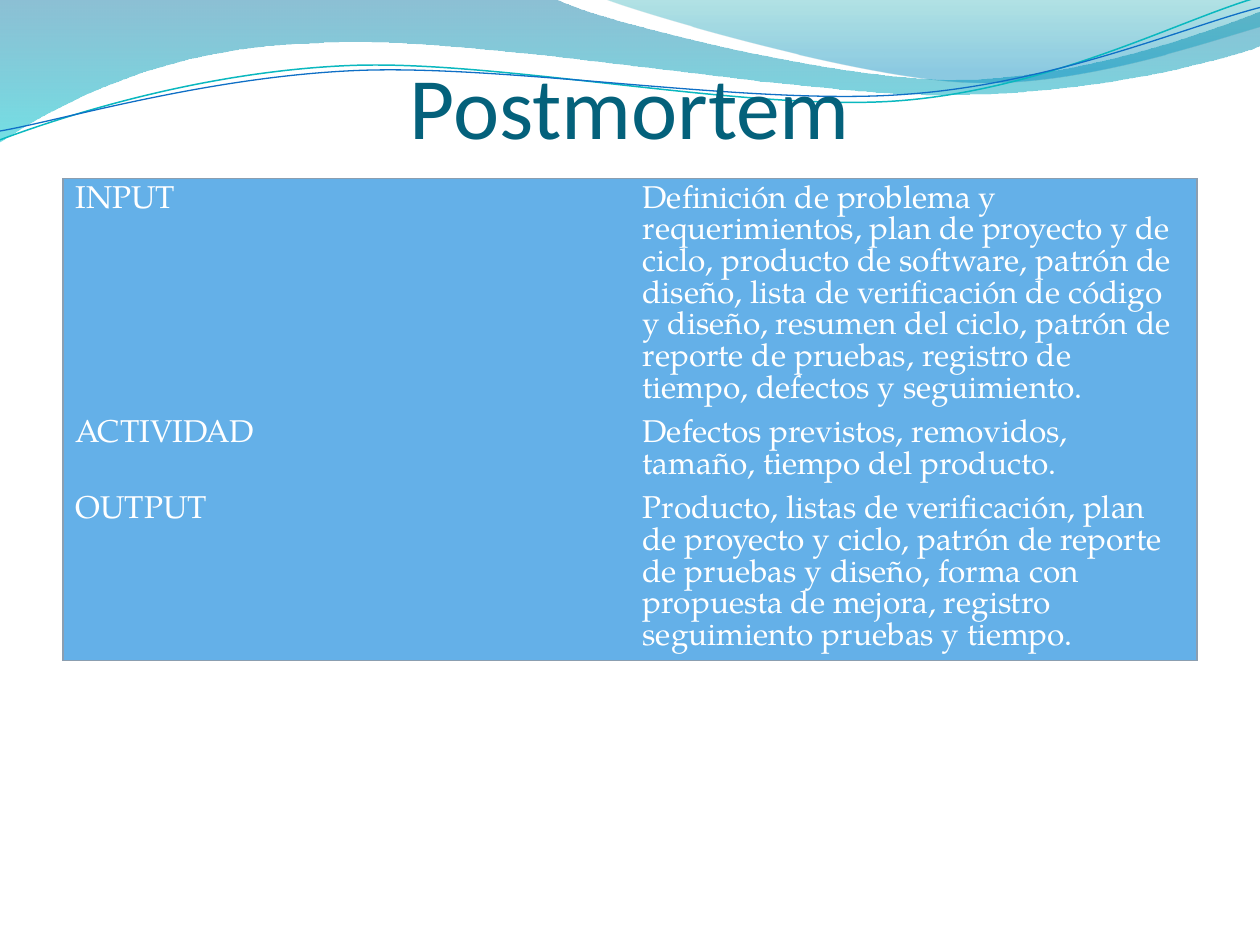
from dataclasses import dataclass
from math import cos, radians, sin

from lxml import etree
from pptx import Presentation
from pptx.dml.color import RGBColor
from pptx.enum.text import MSO_ANCHOR, PP_ALIGN
from pptx.oxml.ns import qn
from pptx.util import Inches, Pt

CENTER = PP_ALIGN.CENTER
TOP, MIDDLE, BOTTOM = MSO_ANCHOR.TOP, MSO_ANCHOR.MIDDLE, MSO_ANCHOR.BOTTOM
WIDTH, HEIGHT = Inches(10), Inches(7.5)
GRID_COLUMNS, GRID_ROWS = 20, 30
TITLE_ONLY = 5
STRAND_TILT = -2.7


@dataclass(frozen=True)
class Theme:
    title_font: str = "Calibri"
    body_font: str = "TeX Gyre Pagella"
    title_size: float = 50
    body_size: float = 18
    line_pitch: float = 18.1
    title_color: str = "04617B"
    body_color: str = "FFFFFF"
    cell_fill: str = "64B0E8"
    border: str = "8B9EB0"
    border_width: float = 0.75
    broad_wave: tuple = ((0, "0074A1", 45), (1, "00C6CF", 55))
    corner_wave: tuple = ((0, "00A1A9", 30), (0.8, "008BBF", 45))
    teal: str = "0AB8BF"
    blue: str = "0F6FC6"


THEME = Theme()

BROAD_WAVE = [
    (0, 0), (4.4, -0.01),
    (4.76, 0.17, 6.64, 0.63, 7.58, 0.63), (8.53, 0.63, 9.58, 0.26, 10, 0.09),
    (10.01, 0.36),
    (9.83, 0.44, 8.7, 0.76, 7.46, 0.75), (6.22, 0.75, 3.82, 0.28, 2.57, 0.34),
    (1.29, 0.36, 0.46, 0.83, -0.01, 1.13), (0, 0),
]
CORNER_WAVE = [
    (4.79, -0.01),
    (5.09, 0.11, 6.82, 0.62, 7.69, 0.65), (8.56, 0.69, 9.61, 0.32, 10, 0.21),
    (10, 0), (4.79, -0.01),
]
TEAL_STRAND = [
    (0, 1.11),
    (0.48, 0.93, 1.58, 0.57, 2.77, 0.52), (3.95, 0.47, 5.93, 0.89, 7.13, 0.8),
    (8.33, 0.71, 9.38, 0.15, 9.98, -0.02),
]
BLUE_STRAND = [
    (0, 1.04),
    (0.47, 0.96, 1.64, 0.61, 2.83, 0.56), (4.03, 0.51, 5.97, 0.84, 7.17, 0.75),
    (8.36, 0.67, 9.41, 0.21, 10, 0.06),
]

PHASES = [
    ("INPUT", "Definición de problema y requerimientos, plan de proyecto y de ciclo, "
     "producto de software, patrón de diseño, lista de verificación de código y diseño, "
     "resumen del ciclo, patrón de reporte de pruebas, registro de tiempo, defectos y "
     "seguimiento.", 7),
    ("ACTIVIDAD", "Defectos previstos, removidos, tamaño, tiempo del producto.", 2),
    ("OUTPUT", "Producto, listas de verificación, plan de proyecto y ciclo, patrón de "
     "reporte de pruebas y diseño, forma con propuesta de mejora, registro seguimiento "
     "pruebas y tiempo.", 5),
]


def column(count):
    return int(WIDTH * count / GRID_COLUMNS)


def row(count):
    return int(HEIGHT * count / GRID_ROWS)


def color(value):
    return RGBColor.from_string(value)


def pairs(segment):
    return list(zip(segment[::2], segment[1::2]))


def turn(segment, center, degrees):
    angle = radians(degrees)
    turned = []
    for x, y in pairs(segment):
        across, down = x - center[0], y - center[1]
        turned += [center[0] + across * cos(angle) - down * sin(angle),
                   center[1] + across * sin(angle) + down * cos(angle)]
    return turned


def add_outline(shapes, outline, closed):
    points = [(Inches(x), Inches(y)) for segment in outline for x, y in pairs(segment)]
    builder = shapes.build_freeform(*points[0])
    builder.add_line_segments(points[1:], close=closed)
    shape = builder.convert_to_shape()
    shape.shadow.inherit = False
    lines = iter(list(shape._element.iter(qn("a:lnTo"))))
    for segment in outline[1:]:
        steps = [next(lines) for _ in pairs(segment)]
        if len(steps) == 3:
            curve = etree.Element(qn("a:cubicBezTo"))
            steps[0].addprevious(curve)
            for step in steps:
                curve.append(step[0])
                step.getparent().remove(step)
    return shape


def add_wave(shapes, outline, stops):
    wave = add_outline(shapes, outline, True)
    wave.line.fill.background()
    wave.fill.gradient()
    wave.fill.gradient_angle = 270
    for stop, (position, value, _) in zip(wave.fill.gradient_stops, stops):
        stop.position = position
        stop.color.rgb = color(value)
    for tint, (_, _, opacity) in zip(wave._element.spPr.iter(qn("a:srgbClr")), stops):
        etree.SubElement(tint, qn("a:alpha"), val=str(opacity * 1000))


def add_strand(shapes, outline, center, value, width):
    level = [turn(segment, center, -STRAND_TILT) for segment in outline]
    strand = add_outline(shapes, level, False)
    strand.rotation = STRAND_TILT
    strand.fill.background()
    strand.line.color.rgb = color(value)
    strand.line.width = Pt(width)


def add_text(para, text, font, size, value):
    span = para.add_run()
    span.text = text
    span.font.name = font
    span.font.size = Pt(size)
    span.font.color.rgb = color(value)


def place_title(page, text):
    title = page.shapes.title
    page.shapes._spTree.append(title._element)
    title.left, title.top, title.width, title.height = column(1), 0, column(18), row(5)
    frame = title.text_frame
    frame.margin_left = frame.margin_right = frame.margin_bottom = 0
    frame.vertical_anchor = BOTTOM
    para = frame.paragraphs[0]
    para.alignment = CENTER
    add_text(para, text, THEME.title_font, THEME.title_size, THEME.title_color)


def set_borders(cell, outer_sides):
    properties = cell._tc.get_or_add_tcPr()
    for index, side in enumerate("LRTB"):
        edge = etree.Element(qn(f"a:ln{side}"), w=str(Pt(THEME.border_width)))
        if side in outer_sides:
            fill = etree.SubElement(edge, qn("a:solidFill"))
            etree.SubElement(fill, qn("a:srgbClr"), val=THEME.border)
        else:
            etree.SubElement(edge, qn("a:noFill"))
        properties.insert(index, edge)


def fill_cell(cell, text, anchor, outer_sides):
    cell.fill.solid()
    cell.fill.fore_color.rgb = color(THEME.cell_fill)
    cell.vertical_anchor = anchor
    para = cell.text_frame.paragraphs[0]
    para.line_spacing = Pt(THEME.line_pitch)
    add_text(para, text, THEME.body_font, THEME.body_size, THEME.body_color)
    set_borders(cell, outer_sides)


def add_phase_table(page, phases):
    heights = [Pt(lines * THEME.line_pitch) + Inches(0.1) for _, _, lines in phases]
    table = page.shapes.add_table(
        len(phases), 2, column(1), row(5.68), column(18), sum(heights)).table
    table.first_row = table.horz_banding = False
    last = len(phases) - 1
    for index, (name, detail, _) in enumerate(phases):
        table.rows[index].height = heights[index]
        ends = ("T" if index == 0 else "") + ("B" if index == last else "")
        fill_cell(table.cell(index, 0), name, TOP, "L" + ends)
        fill_cell(table.cell(index, 1), detail, MIDDLE, "R" + ends)


def main():
    deck = Presentation()
    deck.slide_width, deck.slide_height = WIDTH, HEIGHT
    page = deck.slides.add_slide(deck.slide_layouts[TITLE_ONLY])
    add_wave(page.shapes, BROAD_WAVE, THEME.broad_wave)
    add_wave(page.shapes, CORNER_WAVE, THEME.corner_wave)
    strands = page.shapes.add_group_shape().shapes
    add_strand(strands, TEAL_STRAND, (4.99, 0.58), THEME.teal, 0.85)
    add_strand(strands, BLUE_STRAND, (5, 0.59), THEME.blue, 0.75)
    place_title(page, "Postmortem")
    add_phase_table(page, PHASES)
    deck.save("out.pptx")


if __name__ == "__main__":
    main()
